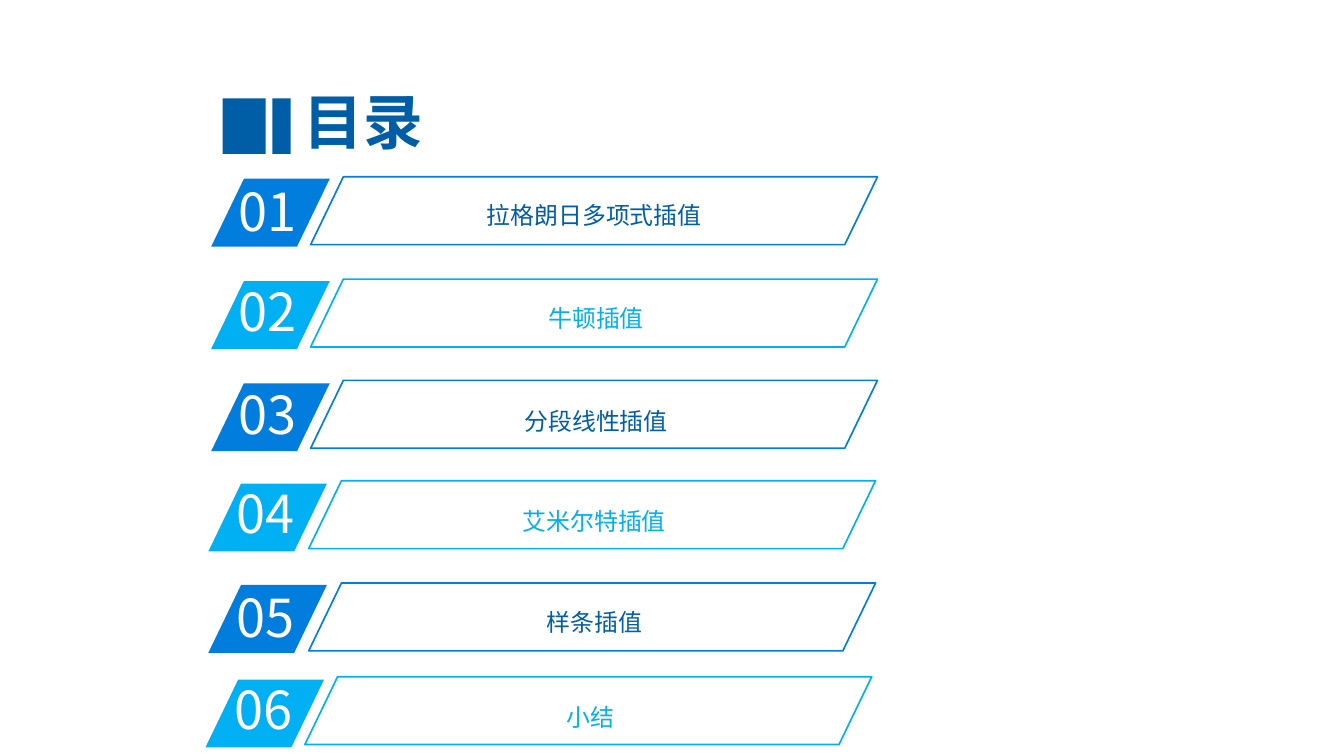
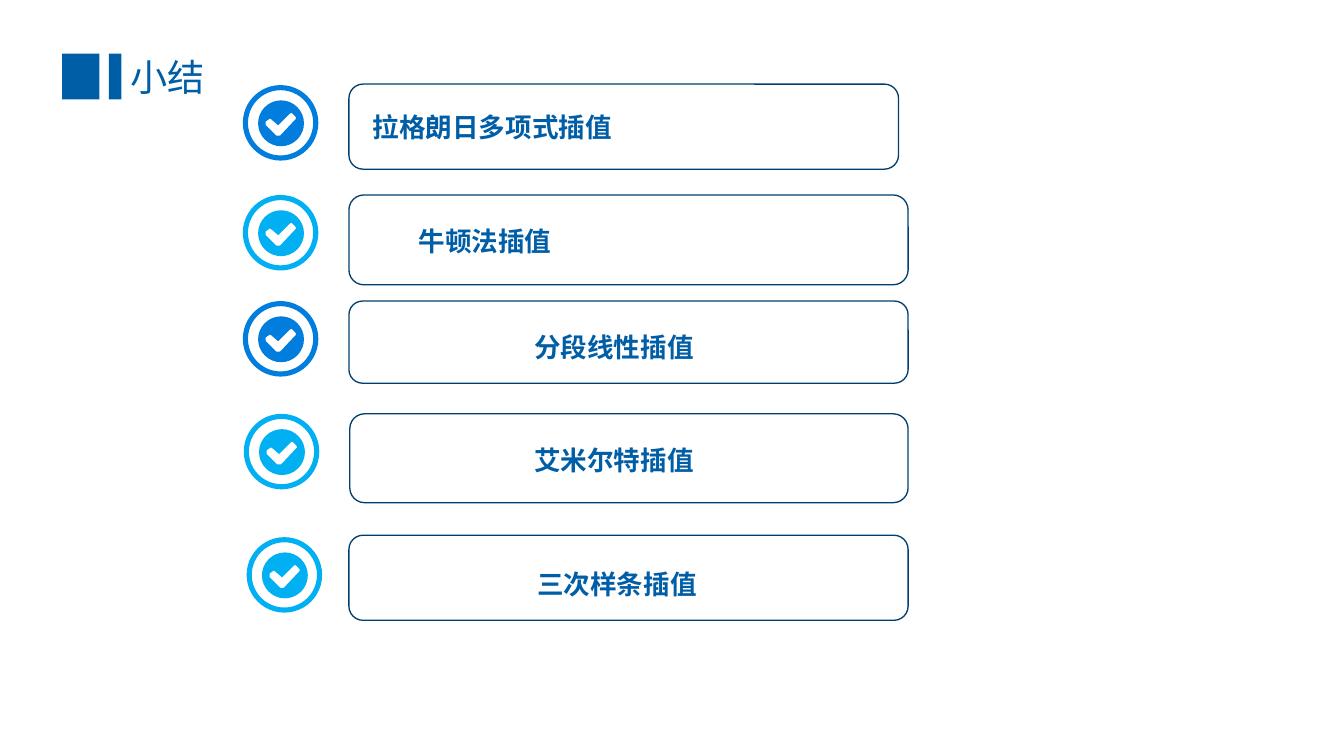
from dataclasses import dataclass

from lxml.etree import SubElement
from pptx import Presentation
from pptx.dml.color import RGBColor
from pptx.enum.shapes import MSO_SHAPE
from pptx.enum.text import MSO_ANCHOR, MSO_AUTO_SIZE, PP_ALIGN
from pptx.oxml.ns import qn
from pptx.util import Inches, Pt


@dataclass(frozen=True)
class Theme:
    font: str = "Noto Sans CJK SC"
    navy: str = "005EA6"
    blue: str = "007DDD"
    sky: str = "00B0F2"
    border: str = "003E6E"
    white: str = "FFFFFF"
    contents_size: float = 45
    summary_size: float = 28
    number_size: float = 39.4
    chapter_size: float = 18
    topic_size: float = 20


THEME = Theme()

# Contents: chapter, plate (left, top), number (left, top), label (left, top), outline (left, top)
CHAPTERS = [
    ("拉格朗日多项式插值", (2.21, 1.87), (2.4, 1.83), (4.04, 1.9), (3.25, 1.85)),
    ("牛顿插值", (2.21, 2.94), (2.4, 2.87), (4.06, 2.98), (3.25, 2.92)),
    ("分段线性插值", (2.21, 4.01), (2.4, 3.95), (4.06, 4.05), (3.25, 3.98)),
    ("艾米尔特插值", (2.18, 5.06), (2.38, 4.99), (4.04, 5.1), (3.23, 5.03)),
    ("样条插值", (2.18, 6.12), (2.38, 6.07), (4.04, 6.16), (3.23, 6.1)),
    ("小结", (2.15, 7.11), (2.35, 7.04), (4, 7.15), (3.19, 7.08)),
]
PLATE, NUMBER, LABEL, OUTLINE = (1.24, 0.71), (1.18, 0.76), (4.35, 0.49), (5.93, 0.71)

# Summary: topic, accent, ring (left, top), text box, frame
TOPICS = [
    ("拉格朗日多项式插值", THEME.blue, (2.54, 0.89), (3.8, 1.04, 4.66, 0.45), (3.65, 0.88, 5.75, 0.89)),
    ("牛顿法插值", THEME.sky, (2.54, 2.04), (4.28, 2.24, 1.61, 0.45), (3.65, 2.04, 5.85, 0.94)),
    ("分段线性插值", THEME.blue, (2.54, 3.15), (5.49, 3.35, 1.9, 0.45), (3.65, 3.15, 5.85, 0.86)),
    ("艾米尔特插值", THEME.sky, (2.55, 4.33), (5.49, 4.53, 1.9, 0.45), (3.66, 4.33, 5.84, 0.93)),
    ("三次样条插值", THEME.sky, (2.58, 5.62), (5.52, 5.83, 1.9, 0.45), (3.65, 5.6, 5.85, 0.89)),
]

SLANT = 0.482
RING_SIZE, RING_WIDTH = 0.79, 0.068
DISC_INSET, DISC_RADIUS = 0.16, 0.24
QUARTER_ARC = 0.55  # control point reach of a quarter circle, in radii
# Tick outline, measured from the disc's top left corner
TICK = [
    (0.39, 0.17), (0.36, 0.14), (0.35, 0.13), (0.33, 0.14), (0.21, 0.26), (0.14, 0.2),
    (0.12, 0.19), (0.11, 0.2), (0.08, 0.22), (0.08, 0.24), (0.08, 0.26), (0.19, 0.37),
    (0.21, 0.37), (0.23, 0.37), (0.39, 0.2), (0.4, 0.19),
]


def paint(shape, fill=None, line=None, width=1.0):
    shape.shadow.inherit = False
    if fill:
        shape.fill.solid()
        shape.fill.fore_color.rgb = RGBColor.from_string(fill)
    else:
        shape.fill.background()
    if line:
        shape.line.color.rgb = RGBColor.from_string(line)
        shape.line.width = Pt(width)
    else:
        shape.line.fill.background()


def add_block(slide, preset, box, adjust=None, **colours):
    block = slide.shapes.add_shape(preset, *map(Inches, box))
    if adjust is not None:
        block.adjustments[0] = adjust
    paint(block, **colours)


def add_words(slide, words, box, size, colour, bold=False, align=PP_ALIGN.LEFT,
              spacing=None, wrap=True, grow=True, anchor=MSO_ANCHOR.TOP, side=0.1):
    frame = slide.shapes.add_textbox(*map(Inches, box)).text_frame
    frame.word_wrap = wrap
    frame.auto_size = MSO_AUTO_SIZE.SHAPE_TO_FIT_TEXT if grow else MSO_AUTO_SIZE.NONE
    frame.vertical_anchor = anchor
    frame.margin_left = frame.margin_right = Inches(side)
    paragraph = frame.paragraphs[0]
    paragraph.alignment = align
    if spacing:
        paragraph.line_spacing = spacing
    run = paragraph.add_run()
    run.text = words
    run.font.name = THEME.font
    run.font.size = Pt(size)
    run.font.bold = bold
    run.font.color.rgb = RGBColor.from_string(colour)


def add_title(slide, title, bars, box, size, **style):
    for bar in bars:
        add_block(slide, MSO_SHAPE.RECTANGLE, bar, fill=THEME.navy)
    add_words(slide, title, box, size, THEME.navy, **style)


def round_corners(segments, centre):
    """Turn the straight sides between quarter points into circular arcs."""
    def blend(start, corner):
        return tuple(round(s + (c - s) * QUARTER_ARC) for s, c in zip(start, corner))

    def position(segment):
        point = segment.find(qn("a:pt"))
        return int(point.get("x")), int(point.get("y"))

    stops = [position(segment) for segment in segments]
    for segment, start, end in zip(segments[1:], stops, stops[1:]):
        corner = tuple(s + e - c for s, e, c in zip(start, end, centre))
        segment.tag = qn("a:cubicBezTo")
        segment.remove(segment[0])
        for x, y in (blend(start, corner), blend(end, corner), end):
            SubElement(segment, qn("a:pt"), x=str(x), y=str(y))


def add_badge(slide, left, top, colour):
    """Ring around a disc with a tick cut out."""
    add_block(slide, MSO_SHAPE.DONUT, (left, top, RING_SIZE, RING_SIZE), RING_WIDTH, fill=colour)
    r = DISC_RADIUS
    quarters = [(r, 2 * r), (0, r), (r, 0), (2 * r, r), (r, 2 * r)]
    disc, tick = (
        [(Inches(left + DISC_INSET + x), Inches(top + DISC_INSET + y)) for x, y in outline]
        for outline in (quarters, TICK)
    )
    builder = slide.shapes.build_freeform(*disc[0])
    builder.add_line_segments(disc[1:], close=True)
    builder.move_to(*tick[0])
    builder.add_line_segments(tick[1:], close=True)
    badge = builder.convert_to_shape()
    outline = next(badge.element.iter(qn("a:path")))
    round_corners(list(outline)[:len(disc)], (Inches(r), Inches(r)))
    paint(badge, fill=colour)


deck = Presentation()
deck.slide_width, deck.slide_height = Inches(14.06), Inches(7.91)
blank = deck.slide_layouts[6]

# Contents slide
contents = deck.slides.add_slide(blank)
add_title(contents, "目录", [(2.33, 1.03, 0.45, 0.58), (2.85, 1.03, 0.19, 0.58)],
          (2.07, 0.88, 3.47, 0.76), THEME.contents_size, bold=True,
          align=PP_ALIGN.CENTER, grow=False, anchor=MSO_ANCHOR.MIDDLE)
for number, (chapter, plate, digits, label, outline) in enumerate(CHAPTERS, 1):
    odd = number % 2 == 1
    accent = THEME.blue if odd else THEME.sky
    add_block(contents, MSO_SHAPE.PARALLELOGRAM, plate + PLATE, SLANT, fill=accent)
    add_words(contents, f"{number:02}", digits + NUMBER, THEME.number_size, THEME.white)
    add_words(contents, chapter, label + LABEL, THEME.chapter_size,
              THEME.navy if odd else THEME.sky, align=PP_ALIGN.CENTER, spacing=1.5, side=0.11)
    add_block(contents, MSO_SHAPE.PARALLELOGRAM, outline + OUTLINE, SLANT, line=accent, width=1.25)

# Summary slide
summary = deck.slides.add_slide(blank)
add_title(summary, "小结", [(0.65, 0.56, 0.39, 0.48), (1.14, 0.56, 0.13, 0.48)],
          (1.27, 0.52, 5.3, 0.57), THEME.summary_size)
for position, (topic, accent, ring, words_box, frame_box) in enumerate(TOPICS):
    add_badge(summary, *ring, accent)
    add_words(summary, topic, words_box, THEME.topic_size, THEME.navy, bold=True,
              align=PP_ALIGN.JUSTIFY, spacing=1.2, wrap=position == 0)
    add_block(summary, MSO_SHAPE.ROUNDED_RECTANGLE, frame_box, line=THEME.border)

deck.save("out.pptx")
